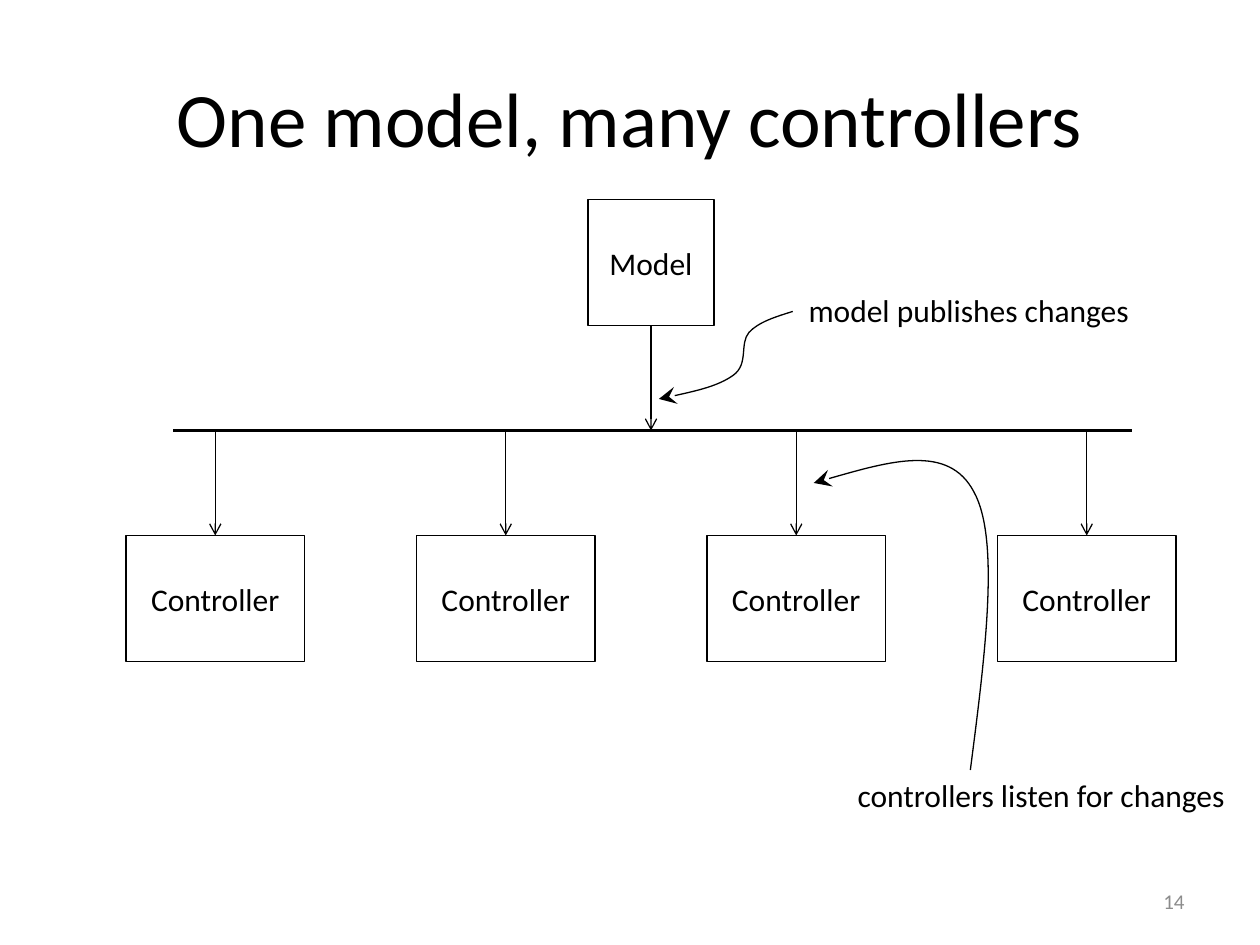
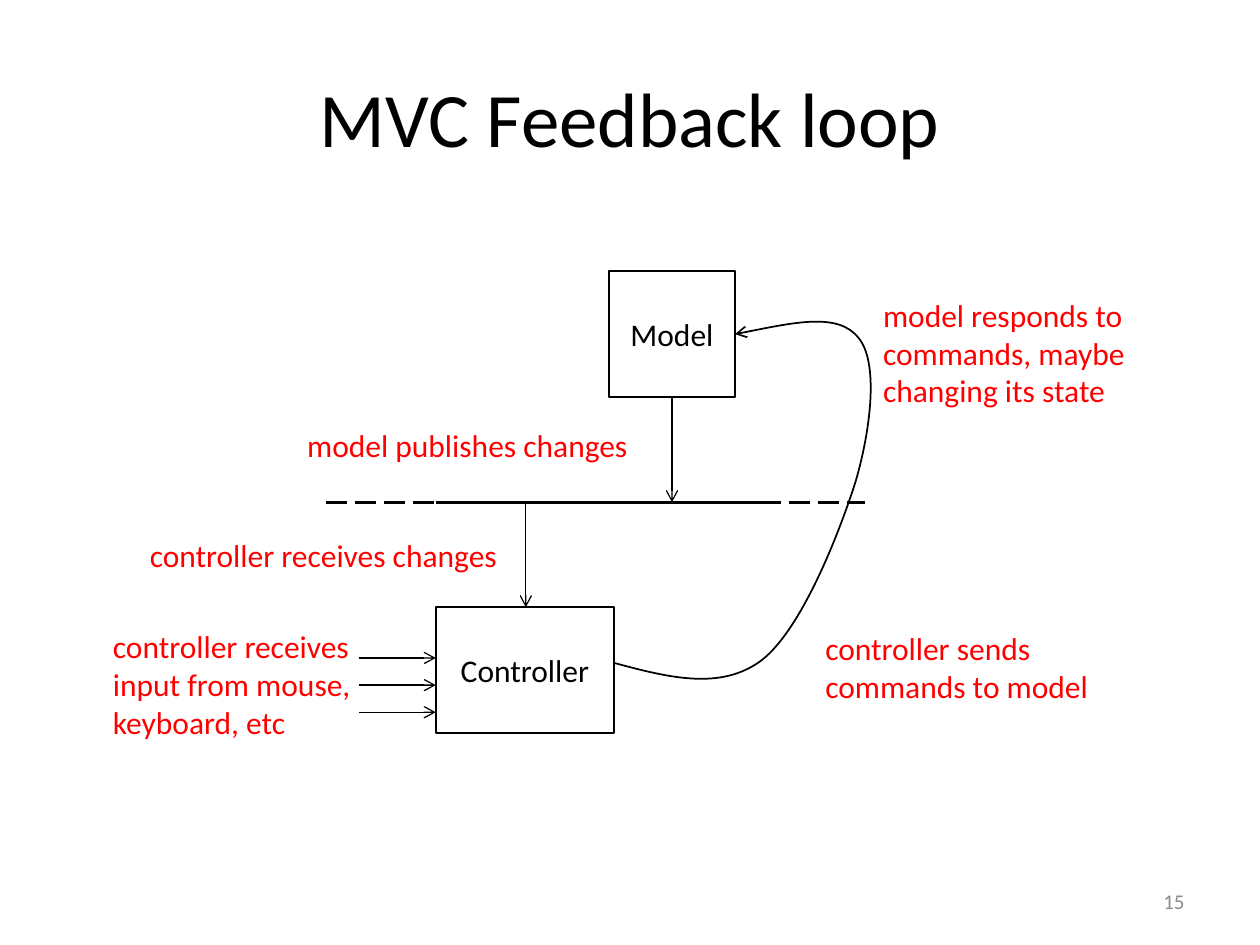
"""Build two slides about models and controllers."""
from lxml.etree import SubElement
from pptx import Presentation
from pptx.dml.color import RGBColor
from pptx.enum.dml import MSO_LINE_DASH_STYLE as DASH
from pptx.enum.shapes import MSO_CONNECTOR as CONNECTOR, MSO_SHAPE as SHAPE
from pptx.enum.text import MSO_ANCHOR as ANCHOR, PP_ALIGN as ALIGN
from pptx.oxml.ns import qn
from pptx.util import Pt

COLORS = {"ink": "000000", "note": "FF0000", "number": "8C8C8C"}
FONTS = {
    "title": {"name": "Calibri", "size": Pt(44)},
    "body": {"name": "Calibri", "size": Pt(18)},
    "number": {"name": "Calibri", "size": Pt(12)},
}
MODEL_SIZE = (72, 72)
CONTROLLER_SIZE = (102, 72)
CONTROLLER_PITCH = 166
ARROW_LENGTH = 60


def set_format(target, values):
    for name, value in values.items():
        setattr(target, name, value)


def set_text(shape, text, font, color, align=ALIGN.LEFT, anchor=ANCHOR.TOP, wrap=True):
    frame = shape.text_frame
    frame.text = text
    set_format(frame, {"word_wrap": wrap, "vertical_anchor": anchor})
    for paragraph in frame.paragraphs:
        paragraph.alignment = align
        set_format(paragraph.font, FONTS[font])
        paragraph.font.color.rgb = RGBColor.from_string(COLORS[color])


def set_line(shape, width, arrow=None, size="med", dash=None):
    shape.line.color.rgb = RGBColor.from_string(COLORS["ink"])
    shape.line.width = Pt(width)
    if dash:
        shape.line.dash_style = dash
    if arrow:
        outline = shape.element.spPr.find(qn("a:ln"))
        SubElement(outline, qn("a:tailEnd"), type=arrow, w=size, len=size)


def add_titled_slide(presentation, title, number):
    slide = presentation.slides.add_slide(presentation.slide_layouts[5])
    heading = slide.shapes.title
    set_format(heading, {"left": Pt(36), "top": Pt(21.6), "width": Pt(648), "height": Pt(90)})
    set_text(heading, title, "title", "ink", ALIGN.CENTER, ANCHOR.MIDDLE)
    box = slide.shapes.add_textbox(Pt(516), Pt(500.5), Pt(168), Pt(28.8))
    set_text(box, number, "number", "number", ALIGN.RIGHT, ANCHOR.MIDDLE)
    return slide


def add_box(slide, text, left, top, size):
    width, height = size
    box = slide.shapes.add_shape(SHAPE.RECTANGLE, Pt(left), Pt(top), Pt(width), Pt(height))
    box.shadow.inherit = False
    box.fill.background()
    set_line(box, 1)
    set_text(box, text, "body", "ink", ALIGN.CENTER, ANCHOR.MIDDLE)


def add_label(slide, text, left, top, width, height=29, color="note", wrap=False):
    box = slide.shapes.add_textbox(Pt(left), Pt(top), Pt(width), Pt(height))
    set_text(box, text, "body", color, wrap=wrap)


def add_line(slide, start, end, width=0.75, **style):
    points = [Pt(value) for value in (*start, *end)]
    line = slide.shapes.add_connector(CONNECTOR.STRAIGHT, *points)
    set_line(line, width, **style)
    SubElement(line.element.spPr, qn("a:effectLst"))


def add_down_arrow(slide, center, top):
    add_line(slide, (center, top), (center, top + ARROW_LENGTH), arrow="arrow")


def add_curve(slide, points, width, arrow, size="med"):
    start, *rest = [(Pt(x), Pt(y)) for x, y in points]
    builder = slide.shapes.build_freeform(*start)
    builder.add_line_segments(rest, close=False)
    curve = builder.convert_to_shape()
    outline = next(curve.element.iter(qn("a:path")))
    segments = outline.findall(qn("a:lnTo"))
    for index in range(0, len(segments), 3):
        bezier = SubElement(outline, qn("a:cubicBezTo"))
        for segment in segments[index:index + 3]:
            bezier.append(segment[0])
            outline.remove(segment)
    curve.shadow.inherit = False
    curve.fill.background()
    set_line(curve, width, arrow, size)


def build_controllers_slide(presentation):
    slide = add_titled_slide(presentation, "One model, many controllers", "14")
    bus = 246
    add_box(slide, "Model", 336, 114, MODEL_SIZE)
    add_down_arrow(slide, 372, bus - ARROW_LENGTH)
    add_line(slide, (99, bus), (647, bus), 1.5)
    for index in range(4):
        left = 72 + index * CONTROLLER_PITCH
        add_box(slide, "Controller", left, bus + ARROW_LENGTH, CONTROLLER_SIZE)
        add_down_arrow(slide, left + CONTROLLER_SIZE[0] / 2, bus)
    add_label(slide, "model publishes changes", 455, 163, 200, color="ink")
    add_label(slide, "controllers listen for changes", 483, 440, 227, color="ink")
    publish_curve = [(453, 178), (443.5, 181), (433.5, 184), (428, 190), (422.5, 196.5),
                     (428, 208), (419, 214.5), (410.5, 220.5), (394, 224.5), (376.5, 228)]
    listen_curve = [(554.5, 440), (563, 374), (571.5, 308), (556.5, 281),
                    (542, 253.5), (503, 265), (465, 276)]
    for points in (publish_curve, listen_curve):
        add_curve(slide, points, 0.75, "stealth", "lg")


def build_feedback_slide(presentation):
    slide = add_titled_slide(presentation, "MVC Feedback loop", "15")
    bus = 287
    add_box(slide, "Model", 348, 155, MODEL_SIZE)
    add_box(slide, "Controller", 249, bus + ARROW_LENGTH, CONTROLLER_SIZE)
    add_line(slide, (249, bus), (438.5, bus), 1.5)
    add_line(slide, (186.5, bus), (494.5, bus), 1.5, dash=DASH.LONG_DASH)
    add_down_arrow(slide, 384, bus - ARROW_LENGTH)
    add_down_arrow(slide, 300.5, bus)
    for index in range(3):
        height = 376 + 15.5 * index
        add_line(slide, (205, height), (249, height), arrow="arrow")
    add_label(slide, "controller receives changes", 78.5, 303, 215)
    add_label(slide, "controller receives\ninput from mouse, keyboard, etc", 57.5, 355, 169, 73, wrap=True)
    add_label(slide, "model publishes changes", 168.5, 240, 200)
    add_label(slide, "controller sends\ncommands to model", 464.5, 356, 166, 51)
    add_label(slide, "model responds to commands, maybe changing its state", 497.5, 165.5, 165, 73, wrap=True)
    command_curve = [(351.5, 379), (383, 387.5), (412, 394.5), (435, 377.5), (458, 360),
                     (479.5, 305), (489, 275), (498, 244), (502, 206.5), (490.5, 193),
                     (479, 178.5), (450.5, 185), (420, 191)]
    add_curve(slide, command_curve, 1, "arrow")


def main():
    presentation = Presentation()
    set_format(presentation, {"slide_width": Pt(720), "slide_height": Pt(540)})
    build_controllers_slide(presentation)
    build_feedback_slide(presentation)
    presentation.save("out.pptx")


if __name__ == "__main__":
    main()
